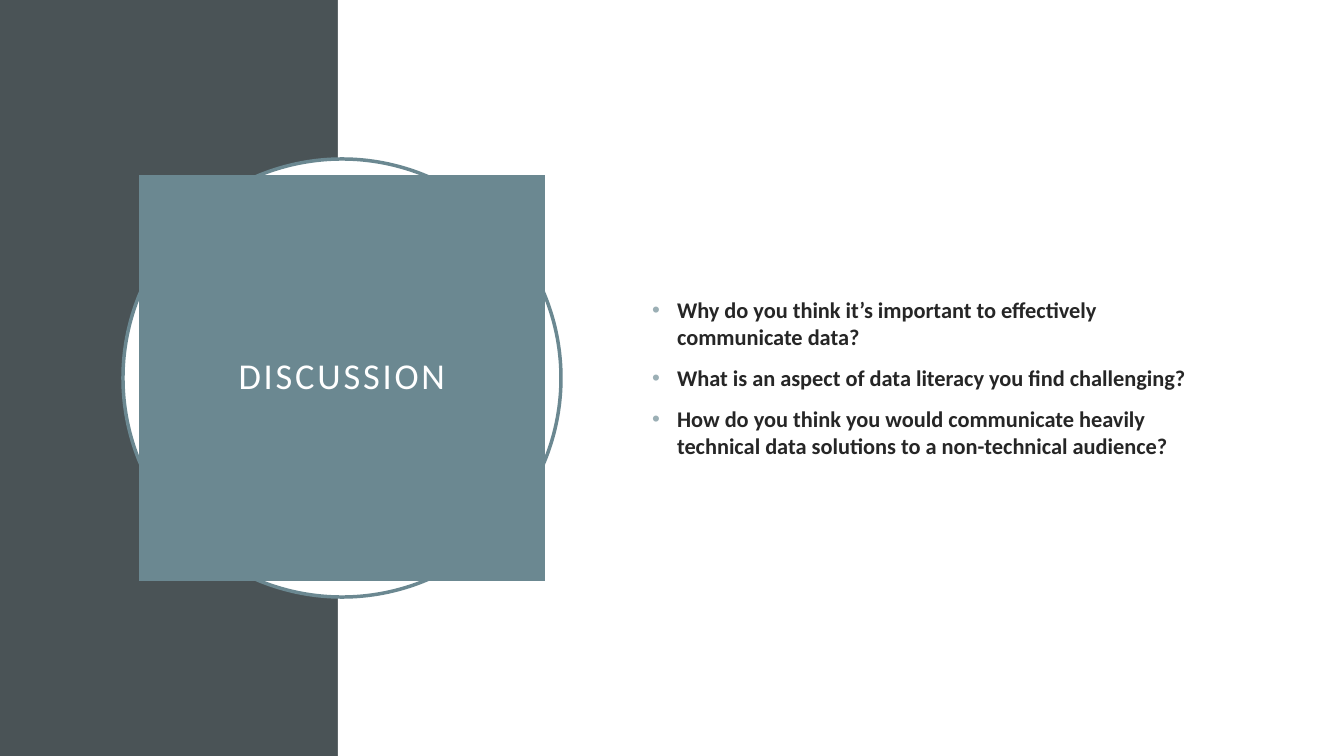
from lxml.etree import SubElement
from pptx import Presentation
from pptx.dml.color import RGBColor as RGB
from pptx.enum.shapes import MSO_SHAPE as SHAPE
from pptx.enum.text import MSO_ANCHOR as ANCHOR, MSO_AUTO_SIZE as FIT, PP_ALIGN as ALIGN
from pptx.oxml.ns import qn
from pptx.util import Pt

# Content
TITLE = "DISCUSSION"
QUESTIONS = [
    "Why do you think it’s important to effectively communicate data?",
    "What is an aspect of data literacy you find challenging?",
    "How do you think you would communicate heavily technical data solutions "
    "to a non-technical audience?",
]

# Theme
THEME = dict(font="Calibri", title_size=26, body_size=16, dark="4A5356", accent="6B8891",
             white="FFFFFF", text="262626", bullet="9BAFB5")

# Layout, in pixels
W, H = 1344, 756
PANEL_W = 338
CENTER = (342, 378)
RING, CARD = 438, 406
BODY = (617, 154, 587, 447)
INSET, INDENT, HANG = 20, 50, 25


def px(n):
    return round(n * 914400 / 100.8)


def place(sp, left, top, width, height):
    sp.left, sp.top, sp.width, sp.height = map(px, (left, top, width, height))


def centered(size):
    return CENTER[0] - size / 2, CENTER[1] - size / 2, size, size


def paint(sp, color):
    sp.fill.solid()
    sp.fill.fore_color.rgb = RGB.from_string(THEME[color])


def add_shape(kind, box, fill, line=None):
    sp = s.shapes.add_shape(kind, *map(px, box))
    sp.shadow.inherit = False
    paint(sp, fill)
    if line:
        sp.line.color.rgb = RGB.from_string(THEME[line])
        sp.line.width = Pt(2.5)
    else:
        sp.line.fill.background()


def prepare(sp):
    s.shapes._spTree.append(sp._element)  # bring to front
    tf = sp.text_frame
    tf.word_wrap, tf.auto_size, tf.vertical_anchor = True, FIT.NONE, ANCHOR.MIDDLE
    return tf


def add_run(p, text, size, color, bold=False):
    r = p.add_run()
    r.text = text
    r.font.name, r.font.size, r.font.bold = THEME["font"], Pt(THEME[size]), bold
    r.font.color.rgb = RGB.from_string(THEME[color])
    return r


def add_bullet(p):
    pPr = p._p.get_or_add_pPr()
    pPr.set("marL", str(px(INDENT)))
    pPr.set("indent", str(-px(HANG)))
    SubElement(SubElement(pPr, qn("a:buClr")), qn("a:srgbClr"), val=THEME["bullet"])
    SubElement(pPr, qn("a:buFont"), typeface="Arial")
    SubElement(pPr, qn("a:buChar"), char="•")


prs = Presentation()
prs.slide_width, prs.slide_height = px(W), px(H)
s = prs.slides.add_slide(prs.slide_layouts[1])
title, body = s.shapes.title, s.placeholders[1]

# Panels and ring
add_shape(SHAPE.RECTANGLE, (0, 0, PANEL_W, H), "dark")
add_shape(SHAPE.RECTANGLE, (PANEL_W, 0, W - PANEL_W, H), "white")
add_shape(SHAPE.OVAL, centered(RING), "white", "accent")

# Title card
place(title, *centered(CARD))
paint(title, "accent")
tf = prepare(title)
tf.margin_left = tf.margin_right = tf.margin_top = tf.margin_bottom = px(INSET)
p = tf.paragraphs[0]
p.alignment, p.line_spacing = ALIGN.CENTER, 0.9
r = add_run(p, TITLE, "title_size", "white")
r.font._element.set("spc", "200")

# Questions
place(body, *BODY)
tf = prepare(body)
for i, question in enumerate(QUESTIONS):
    p = tf.add_paragraph() if i else tf.paragraphs[0]
    p.level, p.line_spacing, p.space_before = 1, 1.0, Pt(10)
    add_bullet(p)
    add_run(p, question, "body_size", "text", bold=True)

prs.save("out.pptx")
